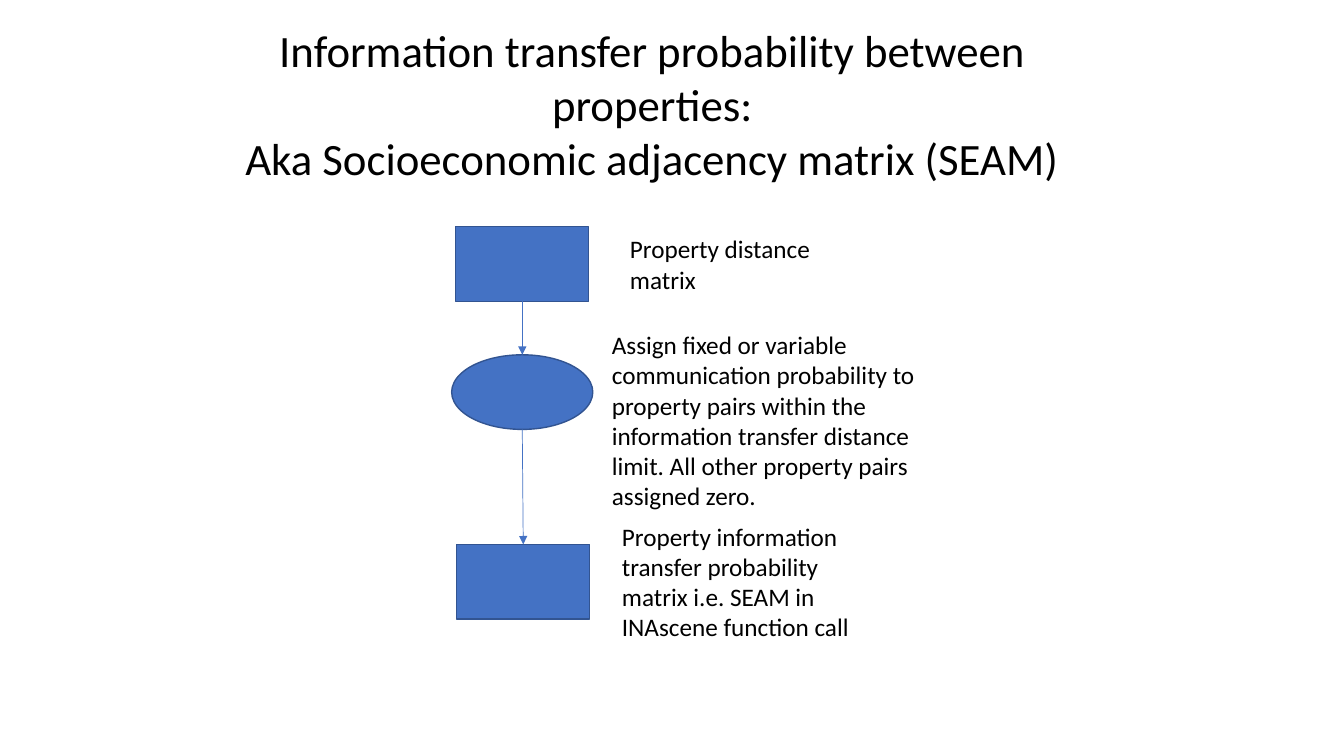
from dataclasses import dataclass
from itertools import pairwise

from lxml import etree
from pptx import Presentation
from pptx.dml.color import RGBColor
from pptx.enum.shapes import MSO_CONNECTOR, MSO_SHAPE
from pptx.enum.text import MSO_ANCHOR, MSO_AUTO_SIZE, PP_ALIGN
from pptx.oxml.ns import qn
from pptx.util import Inches, Pt

RECTANGLE, OVAL = MSO_SHAPE.RECTANGLE, MSO_SHAPE.OVAL
STRAIGHT = MSO_CONNECTOR.STRAIGHT
TOP = MSO_ANCHOR.TOP
NO_AUTOFIT = MSO_AUTO_SIZE.NONE
LEFT, CENTER = PP_ALIGN.LEFT, PP_ALIGN.CENTER


@dataclass(frozen=True)
class Theme:
    font: str = "Calibri"
    text: RGBColor = RGBColor(0x00, 0x00, 0x00)
    fill: RGBColor = RGBColor(0x44, 0x72, 0xC4)
    outline: RGBColor = RGBColor(0x32, 0x54, 0x91)
    title_size: int = 32
    label_size: int = 18
    outline_width: float = 1
    arrow_width: float = 0.5


THEME = Theme()
SLIDE_WIDTH, SLIDE_HEIGHT = 13.33, 7.5
NODE_HEIGHT = 0.74

TITLE = [
    "Information transfer probability between properties:",
    "Aka Socioeconomic adjacency matrix (SEAM)",
]
TITLE_BOX = (2.3, 0.18, 8.34, 1.72)

STEPS = [
    {"kind": RECTANGLE, "center": 5.18, "top": 2.25, "width": 1.32,
     "label": "Property distance matrix",
     "label_box": (6.15, 2.27, 2.53, 0.71)},
    {"kind": OVAL, "center": 5.18, "top": 3.52, "width": 1.4,
     "label": "Assign fixed or variable communication probability to property "
              "pairs within the information transfer distance limit. "
              "All other property pairs assigned zero.",
     "label_box": (5.97, 3.22, 3.62, 1.92)},
    {"kind": RECTANGLE, "center": 5.19, "top": 5.4, "width": 1.32,
     "label": "Property information transfer probability matrix i.e. SEAM in "
              "INAscene function call",
     "label_box": (6.07, 5.12, 2.53, 1.31)},
]


def write_text(shape, lines, size, alignment):
    frame = shape.text_frame
    frame.text = "\n".join(lines)
    frame.word_wrap = True
    frame.auto_size = NO_AUTOFIT
    frame.vertical_anchor = TOP
    for paragraph in frame.paragraphs:
        paragraph.alignment = alignment
        paragraph.line_spacing = 1.0
        paragraph.space_before = Pt(0)
        paragraph.font.name = THEME.font
        paragraph.font.size = Pt(size)
        paragraph.font.color.rgb = THEME.text


def add_title(slide):
    title = slide.shapes.title
    title.left, title.top, title.width, title.height = map(Inches, TITLE_BOX)
    write_text(title, TITLE, THEME.title_size, CENTER)


def add_step(slide, step):
    left = step["center"] - step["width"] / 2
    box = (left, step["top"], step["width"], NODE_HEIGHT)
    node = slide.shapes.add_shape(step["kind"], *map(Inches, box))
    node.shadow.inherit = False
    node.fill.solid()
    node.fill.fore_color.rgb = THEME.fill
    node.line.color.rgb = THEME.outline
    node.line.width = Pt(THEME.outline_width)
    label = slide.shapes.add_textbox(*map(Inches, step["label_box"]))
    write_text(label, [step["label"]], THEME.label_size, LEFT)


def add_arrow(slide, upper, lower):
    ends = (upper["center"], upper["top"] + NODE_HEIGHT, lower["center"], lower["top"])
    arrow = slide.shapes.add_connector(STRAIGHT, *map(Inches, ends))
    arrow.line.color.rgb = THEME.fill
    arrow.line.width = Pt(THEME.arrow_width)
    properties = arrow.element.spPr
    line = properties.find(qn("a:ln"))
    etree.SubElement(line, qn("a:tailEnd"), type="triangle")
    etree.SubElement(properties, qn("a:effectLst"))


def main():
    presentation = Presentation()
    presentation.slide_width = Inches(SLIDE_WIDTH)
    presentation.slide_height = Inches(SLIDE_HEIGHT)
    slide = presentation.slides.add_slide(presentation.slide_layouts.get_by_name("Title Only"))
    add_title(slide)
    for step in STEPS:
        add_step(slide, step)
    for upper, lower in pairwise(STEPS):
        add_arrow(slide, upper, lower)
    presentation.save("out.pptx")


if __name__ == "__main__":
    main()
